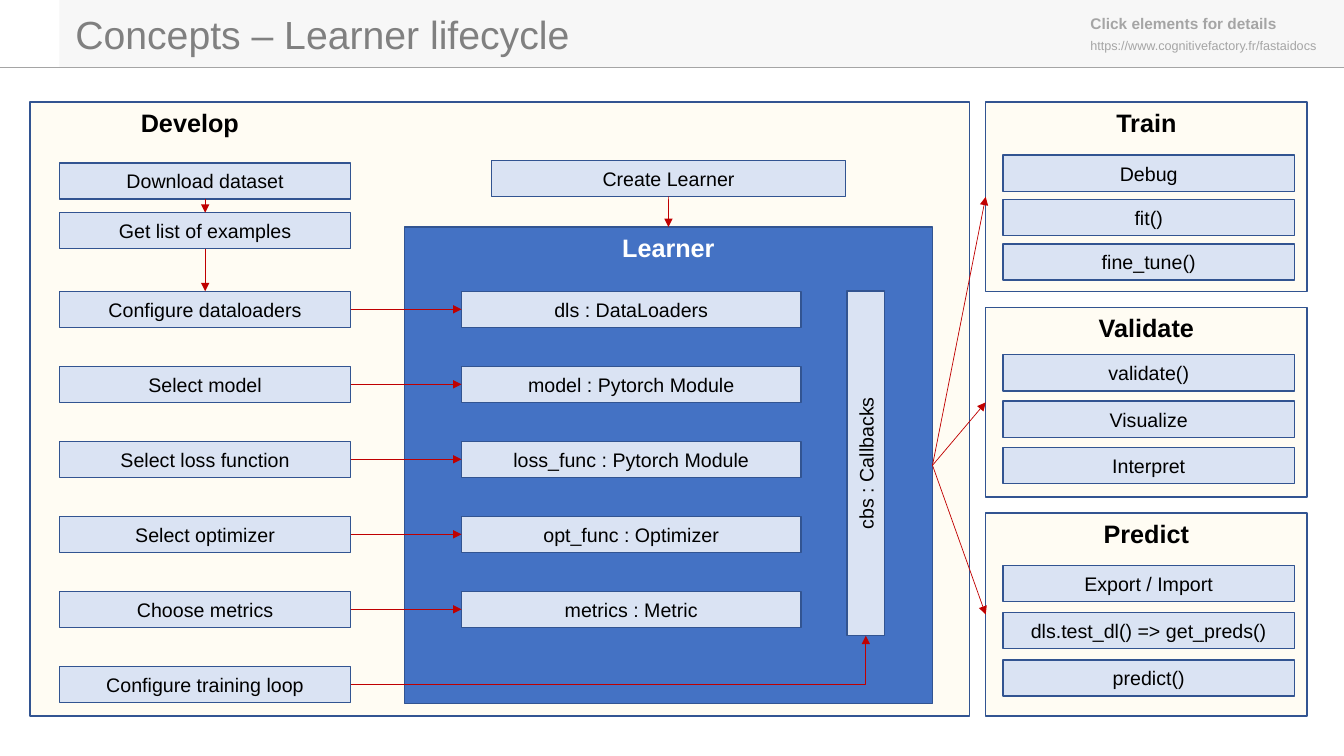
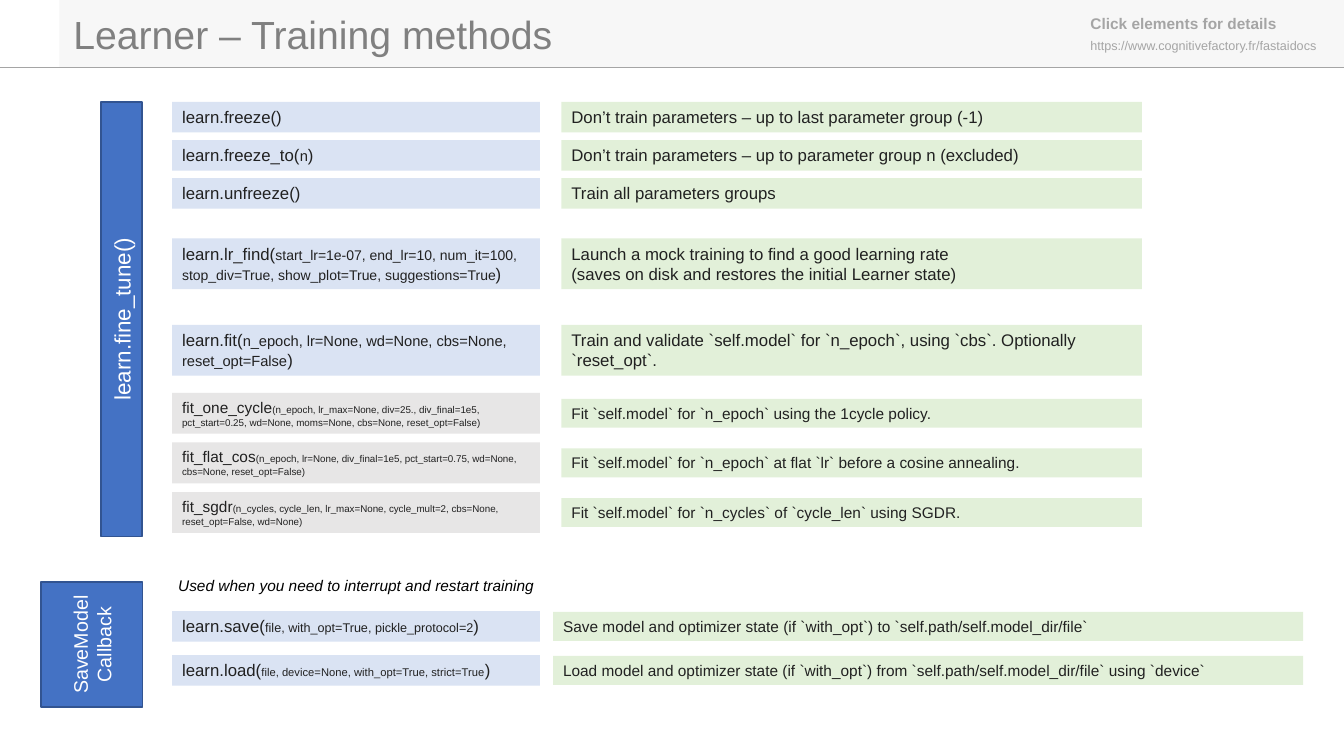
"""Build two slides on the Learner lifecycle and its training methods."""
from lxml import etree
from pptx import Presentation
from pptx.dml.color import RGBColor
from pptx.enum import shapes, text
from pptx.oxml import ns
from pptx.util import Cm, Pt

BLACK = RGBColor(0, 0, 0)
WHITE = RGBColor(255, 255, 255)
INK = RGBColor(0x21, 0x21, 0x21)
GREY = RGBColor(0x80, 0x80, 0x80)
SILVER = RGBColor(0xA5, 0xA5, 0xA5)
BAND = RGBColor(0xF7, 0xF7, 0xF7)
CREAM = RGBColor(0xFF, 0xFC, 0xF3)
NAVY = RGBColor(0x32, 0x54, 0x91)
BLUE = RGBColor(0x44, 0x72, 0xC4)
PALE = RGBColor(0xDA, 0xE3, 0xF3)
GREEN = RGBColor(0xE2, 0xF0, 0xD9)
ASH = RGBColor(0xE7, 0xE6, 0xE6)
RED = RGBColor(0xC0, 0, 0)

LEFT, MID = text.PP_ALIGN.LEFT, text.PP_ALIGN.CENTER
TOP, CORE = text.MSO_ANCHOR.TOP, text.MSO_ANCHOR.MIDDLE
STRAIGHT, ELBOW = shapes.MSO_CONNECTOR.STRAIGHT, shapes.MSO_CONNECTOR.ELBOW
N, W, S, E = range(4)


def box(page, words, x, y, w, h, fill=PALE, edge=NAVY, size=14, ink=BLACK,
        bold=False, align=MID, anchor=CORE, turn=False):
    """Add a filled rectangle, or a text box when there is no fill."""
    area = Cm(x), Cm(y), Cm(w), Cm(h)
    if fill is None:
        shape = page.shapes.add_textbox(*area)
    else:
        shape = page.shapes.add_shape(shapes.MSO_SHAPE.RECTANGLE, *area)
        shape.shadow.inherit = False
        shape.fill.solid()
        shape.fill.fore_color.rgb = fill
        if edge is None:
            shape.line.fill.background()
        else:
            shape.line.color.rgb = edge
            shape.line.width = Pt(1)
    frame = shape.text_frame
    frame.word_wrap = True
    frame.vertical_anchor = anchor
    if turn:
        frame._txBody.bodyPr.set("vert", "vert270")
        frame.margin_left = frame.margin_right = 0
    para = frame.paragraphs[0]
    para.text = words
    para.alignment = align
    for run in para.runs:
        font = run.font
        font.name, font.size, font.bold = "Arial", Pt(size), bold
        font.color.rgb = ink
    return shape


def line(page, x, y, end, low, ink, kind=STRAIGHT):
    """Add a thin line without a shadow."""
    rule = page.shapes.add_connector(kind, Cm(x), Cm(y), Cm(end), Cm(low))
    rule.line.color.rgb = ink
    rule.line.width = Pt(0.5)
    etree.SubElement(rule._element.spPr, ns.qn("a:effectLst"))
    return rule


deck = Presentation()
deck.slide_width, deck.slide_height = Cm(33.87), Cm(19.05)

pages = []
for title, x in (("Concepts – Learner lifecycle", 1.65),
                 ("Learner – Training methods", 1.6)):
    page = deck.slides.add_slide(deck.slide_layouts[6])
    box(page, "", 1.5, 0, 32.37, 1.7, BAND, None)
    line(page, 0, 1.7, 33.87, 1.7, SILVER)
    for words, y, size, bold in (
            ("Click elements for details", 0.23, 11, True),
            ("https://www.cognitivefactory.fr/fastaidocs", 0.84, 9, False)):
        box(page, words, 27.23, y, 6.6, 0.7, None, None, size, SILVER, bold, LEFT, TOP)
    box(page, title, x, 0.14, 16, 1.45, None, None, 28, GREY, False, LEFT, TOP)
    pages.append(page)
cycle, train = pages

HIGH, WIDE = 0.91, 7.34
head = dict(size=18, bold=True, anchor=TOP)
stage = box(cycle, "Develop", 0.76, 2.57, 23.67, 15.47, CREAM, align=LEFT, **head)
stage.text_frame.margin_left = Cm(2.79)
core = box(cycle, "Learner", 10.19, 5.72, 13.31, 12.01, BLUE, ink=WHITE, **head)
calls = box(cycle, "cbs : Callbacks", 21.35, 7.33, 0.94, 8.69, turn=True)
make = box(cycle, "Create Learner", 12.39, 4.04, 8.92, HIGH)
fetch = box(cycle, "Download dataset", 1.5, 4.11, WIDE, HIGH)
names = box(cycle, "Get list of examples", 1.5, 5.36, WIDE, HIGH)

arrows = [(make, S, core, N), (fetch, S, names, N)]
steps = []
for i, (step, slot) in enumerate((
        ("Configure dataloaders", "dls : DataLoaders"),
        ("Select model", "model : Pytorch Module"),
        ("Select loss function", "loss_func : Pytorch Module"),
        ("Select optimizer", "opt_func : Optimizer"),
        ("Choose metrics", "metrics : Metric"),
        ("Configure training loop", None))):
    y = 7.34 + 1.89 * i
    steps.append(box(cycle, step, 1.5, y, WIDE, HIGH))
    if slot:
        part = box(cycle, slot, 11.63, y, 8.56, HIGH)
        arrows.append((steps[i], E, part, W))
arrows += [(names, S, steps[0], N), (steps[-1], E, calls, S)]

for name, y, h, first, pitch, tasks in (
        ("Train", 2.57, 4.78, 3.91, 1.12, ("Debug", "fit()", "fine_tune()")),
        ("Validate", 7.75, 4.78, 8.94, 1.17, ("validate()", "Visualize", "Interpret")),
        ("Predict", 12.93, 5.11, 14.25, 1.19,
         ("Export / Import", "dls.test_dl() => get_preds()", "predict()"))):
    phase = box(cycle, name, 24.84, y, 8.1, h, CREAM, **head)
    arrows.append((core, E, phase, W))
    for i, task in enumerate(tasks):
        box(cycle, task, 25.28, first + pitch * i, WIDE, HIGH)

for start, out, goal, into in arrows:
    bent = goal is calls
    arrow = line(cycle, 0, 0, 1, 1, RED, ELBOW if bent else STRAIGHT)
    arrow.begin_connect(start, out)
    arrow.end_connect(goal, into)
    if bent:
        arrow._element.spPr.find(ns.qn("a:prstGeom")).set("prst", "bentConnector2")
    tip = etree.SubElement(arrow.line._get_or_add_ln(), ns.qn("a:tailEnd"))
    tip.set("type", "triangle")

box(train, "learn.fine_tune()", 2.55, 2.57, 1.03, 10.95, BLUE, size=16, ink=WHITE, turn=True)
box(train, "SaveModel\vCallback", 1.03, 14.67, 2.57, 3.15, BLUE, ink=WHITE, turn=True)
note = box(train, "Used when you need to interrupt and restart training",
           4.24, 14.4, 10, 0.73, None, None, 11, align=LEFT, anchor=TOP)
note.text_frame.paragraphs[0].runs[0].font.italic = True

LONE, PAIR, FIT = 0.77, 1.28, 1.03
plain = dict(edge=None, ink=INK, align=LEFT, anchor=TOP)
for y, h, name, args, small, about in (
        (2.57, LONE, "learn.freeze()", "", 0,
         "Don’t train parameters – up to last parameter group (-1)"),
        (3.53, LONE, "learn.freeze_to(", "n", 10.5,
         "Don’t train parameters – up to parameter group n (excluded)"),
        (4.49, LONE, "learn.unfreeze()", "", 0, "Train all parameters groups"),
        (6.01, PAIR, "learn.lr_find(",
         "start_lr=1e-07, end_lr=10, num_it=100, stop_div=True, "
         "show_plot=True, suggestions=True", 10,
         "Launch a mock training to find a good learning rate\v"
         "(saves on disk and restores the initial Learner state)"),
        (8.19, PAIR, "learn.fit(",
         "n_epoch, lr=None, wd=None, cbs=None, reset_opt=False", 10.5,
         "Train and validate `self.model` for `n_epoch`, using `cbs`. "
         "Optionally `reset_opt`."),
        (9.9, FIT, "fit_one_cycle",
         "(n_epoch, lr_max=None, div=25., div_final=1e5, pct_start=0.25, "
         "wd=None, moms=None, cbs=None, reset_opt=False)", 7,
         "Fit `self.model` for `n_epoch` using the 1cycle policy."),
        (11.15, FIT, "fit_flat_cos",
         "(n_epoch, lr=None, div_final=1e5, pct_start=0.75, wd=None, "
         "cbs=None, reset_opt=False)", 7,
         "Fit `self.model` for `n_epoch` at flat `lr` before a cosine annealing."),
        (12.4, FIT, "fit_sgdr",
         "(n_cycles, cycle_len, lr_max=None, cycle_mult=2, cbs=None, "
         "reset_opt=False, wd=None)", 7,
         "Fit `self.model` for `n_cycles` of `cycle_len` using SGDR."),
        (15.4, LONE, "learn.save(", "file, with_opt=True, pickle_protocol=2", 9,
         "Save model and optimizer state (if `with_opt`) to "
         "`self.path/self.model_dir/file`"),
        (16.51, LONE, "learn.load(", "file, device=None, with_opt=True, strict=True", 8,
         "Load model and optimizer state (if `with_opt`) from "
         "`self.path/self.model_dir/file` using `device`")):
    fit, disk = h == FIT, y > 15
    size = 11 if fit else 12
    call = box(train, name, 4.34, y, 9.27, h, ASH if fit else PALE, size=size, **plain)
    tail = ")" if name.endswith("(") else ""
    for words, points in ((args, small), (tail, size)):
        if words:
            run = call.text_frame.paragraphs[0].add_run()
            run.text = words
            run.font.name, run.font.size = "Arial", Pt(points)
            run.font.color.rgb = INK
    x, w = (13.94, 18.9) if disk else (14.15, 14.63)
    tall = 0.73 if fit or disk else h
    box(train, about, x, y + (h - tall) / 2, w, tall, GREEN,
        size=11 if fit or disk else 12, **plain)

deck.save("out.pptx")
